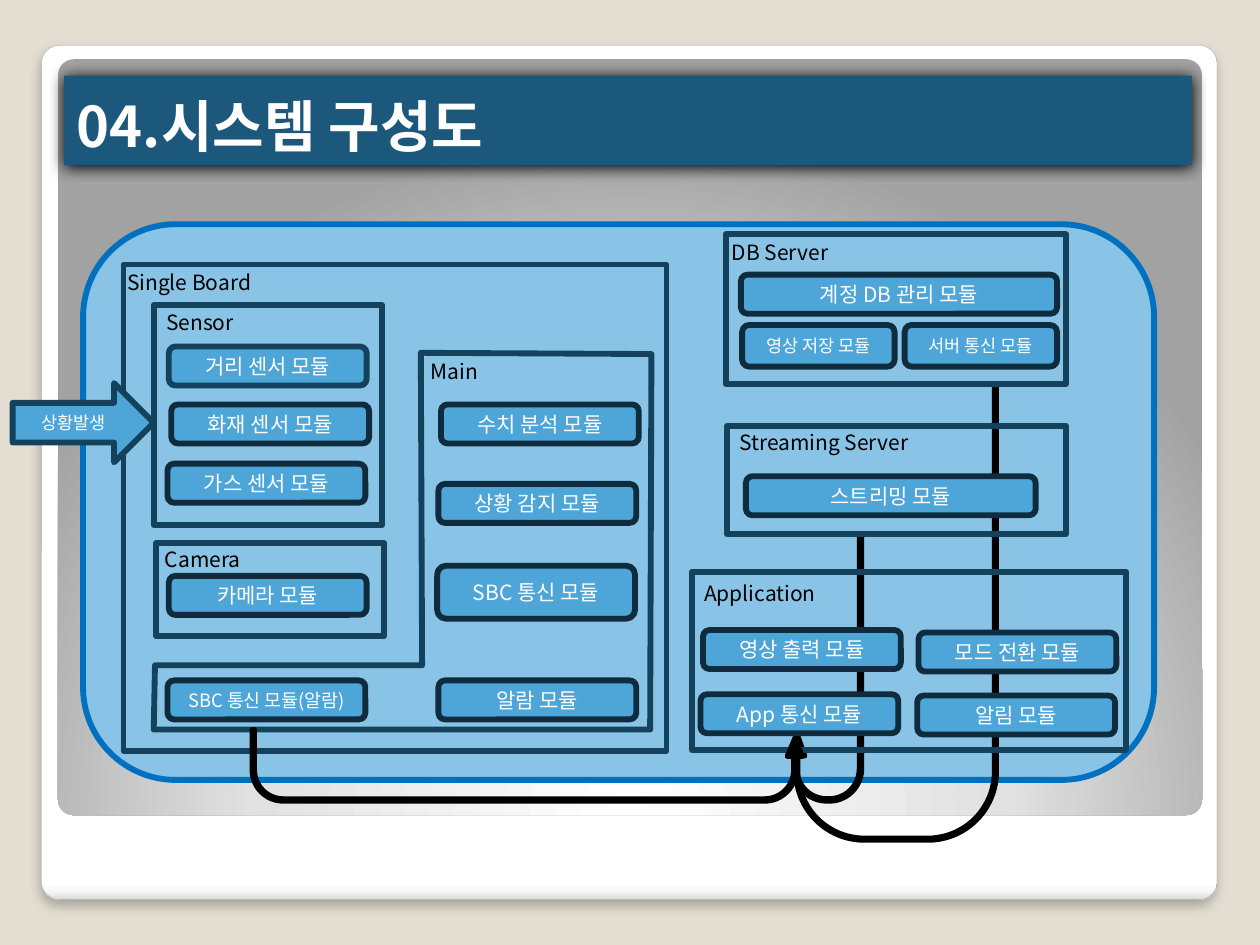
from dataclasses import dataclass

from lxml.etree import SubElement
from pptx import Presentation
from pptx.dml.color import RGBColor
from pptx.enum.shapes import MSO_SHAPE
from pptx.enum.text import MSO_ANCHOR, MSO_AUTO_SIZE, PP_ALIGN
from pptx.oxml import parse_xml
from pptx.oxml.ns import nsdecls, qn
from pptx.util import Inches, Pt


@dataclass(frozen=True)
class Theme:
    font: str = "Noto Sans CJK KR"
    page: str = "E3DED1"
    white: str = "FFFFFF"
    black: str = "000000"
    card_line: str = "A4A4A4"
    title_bar: str = "1B587C"
    system: str = "89C3E5"
    system_line: str = "0070C0"
    module: str = "4EA5D8"
    module_line: str = "0E2C3E"
    frame_line: str = "14425D"
    card_stops: tuple = ((0, "FFFFFF"), (98, "FFFFFF"), (99, "F7F7F7"), (100, "DADADA"))
    panel_stops: tuple = ((0, "FFFFFF"), (55, "E1E1E1"), (100, "A2A2A2"))
    title_size: float = 32
    body_size: float = 12
    note_size: float = 10.5
    small_size: float = 10
    outline: float = 3.35
    flow_outline: float = 2.75


THEME = Theme()
MODULE_W, MODULE_H = 1.57, 0.31


@dataclass(frozen=True)
class Box:
    left: float
    top: float
    width: float
    height: float

    def inside(self, dx, dy, width, height):
        return Box(self.left + dx, self.top + dy, width, height)

    def lengths(self):
        return [Inches(v) for v in (self.left, self.top, self.width, self.height)]


def style(shape, fill=None, line=None, width=THEME.outline):
    shape.shadow.inherit = False
    if fill:
        shape.fill.solid()
        shape.fill.fore_color.rgb = RGBColor.from_string(fill)
    else:
        shape.fill.background()
    if line:
        shape.line.color.rgb = RGBColor.from_string(line)
        shape.line.width = Pt(width)
    else:
        shape.line.fill.background()


def add_shape(slide, kind, box, fill=None, line=None, width=THEME.outline, adjust=()):
    shape = slide.shapes.add_shape(kind, *box.lengths())
    style(shape, fill, line, width)
    for i, value in enumerate(adjust):
        shape.adjustments[i] = value
    return shape


def write(shape, text, size, color, align=PP_ALIGN.LEFT, bold=False):
    paragraph = shape.text_frame.paragraphs[0]
    paragraph.text = text
    paragraph.alignment = align
    for run in paragraph.runs:
        run.font.name = THEME.font
        run.font.size = Pt(size)
        run.font.bold = bold
        run.font.color.rgb = RGBColor.from_string(color)
        SubElement(run.font._element, qn("a:ea")).set("typeface", THEME.font)


def gradient(shape, stops, direction):
    marks = "".join(f'<a:gs pos="{pos * 1000}"><a:srgbClr val="{color}"/></a:gs>'
                    for pos, color in stops)
    properties = shape.element.spPr
    old_fill = properties.find(qn("a:noFill"))
    properties.replace(old_fill, parse_xml(
        f'<a:gradFill {nsdecls("a")} rotWithShape="1"><a:gsLst>{marks}</a:gsLst>{direction}</a:gradFill>'))


def drop_shadow(shape, alpha, blur, distance):
    effects = shape.element.spPr.find(qn("a:effectLst"))
    effects.append(parse_xml(
        f'<a:outerShdw {nsdecls("a")} blurRad="{Pt(blur)}" dist="{Pt(distance)}" dir="5400000" '
        f'algn="t" rotWithShape="0"><a:srgbClr val="{THEME.black}">'
        f'<a:alpha val="{alpha * 1000}"/></a:srgbClr></a:outerShdw>'))


def add_label(slide, box, text):
    label = slide.shapes.add_textbox(*box.lengths())
    label.text_frame.word_wrap = True
    write(label, text, THEME.body_size, THEME.black)


def add_node(slide, kind, box, text, size=THEME.body_size, line=THEME.module_line):
    node = add_shape(slide, kind, box, THEME.module, line)
    frame = node.text_frame
    frame.word_wrap = True
    frame.vertical_anchor = MSO_ANCHOR.MIDDLE
    frame.margin_left = frame.margin_right = frame.margin_top = frame.margin_bottom = 0
    write(node, text, size, THEME.white, PP_ALIGN.CENTER)


def add_module(slide, box, text, size=THEME.body_size, line=THEME.module_line):
    add_node(slide, MSO_SHAPE.ROUNDED_RECTANGLE, box, text, size, line)


def add_flow(slide, box, adjust, mirrored=True):
    flow = add_shape(slide, MSO_SHAPE.U_TURN_ARROW, box, THEME.black, THEME.black,
                     THEME.flow_outline, adjust)
    transform = flow.element.spPr.find(qn("a:xfrm"))
    transform.set("flipV", "1")
    if mirrored:
        transform.set("flipH", "1")


def add_backdrop(slide, box):
    rounding = [0.021]
    card = add_shape(slide, MSO_SHAPE.ROUNDED_RECTANGLE, box, None, THEME.card_line, 0.16, rounding)
    gradient(card, THEME.card_stops, '<a:lin ang="5400000" scaled="0"/>')
    drop_shadow(card, 25, 6, 4)
    panel = add_shape(slide, MSO_SHAPE.ROUNDED_RECTANGLE, box.inside(0.13, 0.11, 9.08, 6), adjust=rounding)
    gradient(panel, THEME.panel_stops, '<a:path path="circle"><a:fillToRect '
             'l="50000" t="175000" r="50000" b="-75000"/></a:path>')


def add_title(slide, box, text):
    title = slide.shapes.title
    title.element.getparent().append(title.element)  # in front of the backdrop
    title.left, title.top, title.width, title.height = box.lengths()
    style(title, THEME.title_bar)
    drop_shadow(title, 100, 8.5, 1)
    title.text_frame.auto_size = MSO_AUTO_SIZE.NONE
    title.text_frame.vertical_anchor = MSO_ANCHOR.BOTTOM
    write(title, text, THEME.title_size, THEME.white, bold=True)


def add_subsystem(slide, box, name, name_at, modules):
    """Framed group; each module is (text, dx, dy, width, height, *style)."""
    add_shape(slide, MSO_SHAPE.RECTANGLE, box, line=THEME.frame_line)
    add_label(slide, box.inside(*name_at, 1.75, 0.3), name)
    for text, dx, dy, width, height, *look in modules:
        add_module(slide, box.inside(dx, dy, width, height), text, *look)


def add_main(slide, box):
    outline = [(2.12, 0), (3.95, 0.01), (3.94, 2.99), (0, 2.99), (0.01, 2.48), (2.13, 2.48)]
    points = [(Inches(box.left + x), Inches(box.top + y)) for x, y in outline]
    builder = slide.shapes.build_freeform(*points[0])
    builder.add_line_segments(points[1:], close=True)
    style(builder.convert_to_shape(), line=THEME.frame_line)
    add_label(slide, box.inside(2.1, 0, 1.42, 0.3), "Main")
    for text, dx, dy, height, size in (
            ("수치 분석 모듈", 2.28, 0.41, MODULE_H, THEME.body_size),
            ("상황 감지 모듈", 2.26, 1.04, MODULE_H, THEME.body_size),
            ("SBC 통신 모듈", 2.25, 1.69, 0.42, THEME.body_size),
            ("알람 모듈", 2.26, 2.6, MODULE_H, THEME.body_size),
            ("SBC 통신 모듈(알람)", 0.11, 2.6, MODULE_H, THEME.note_size)):
        add_module(slide, box.inside(dx, dy, MODULE_W, height), text, size)


def add_single_board(slide, box):
    add_subsystem(slide, box, "Single Board", (-0.07, -0.01), [])
    add_node(slide, MSO_SHAPE.RIGHT_ARROW, box.inside(-0.88, 0.94, 1.12, 0.63), "상황발생",
             THEME.small_size, THEME.frame_line)
    add_subsystem(slide, box.inside(0.24, 0.32, 1.81, 1.75), "Sensor", (0, -0.01), [
        ("거리 센서 모듈", 0.12, 0.33, MODULE_W, MODULE_H, THEME.body_size, THEME.frame_line),
        ("화재 센서 모듈", 0.14, 0.79, MODULE_W, MODULE_H),
        ("가스 센서 모듈", 0.11, 1.26, MODULE_W, MODULE_H)])
    add_subsystem(slide, box.inside(0.26, 2.21, 1.81, 0.74), "Camera", (-0.03, -0.02), [
        ("카메라 모듈", 0.1, 0.26, MODULE_W, MODULE_H)])
    add_main(slide, box.inside(0.24, 0.7, 3.95, 2.99))


def add_system(slide, box):
    add_shape(slide, MSO_SHAPE.ROUNDED_RECTANGLE, box, THEME.system, THEME.system_line)
    # Flows from the servers run behind the modules
    add_flow(slide, box.inside(5.6, 1.29, 1.65, 3.6), (0.011, 0.039, 0.111, 0.331, 0.237))
    add_flow(slide, box.inside(5.59, 2.48, 0.59, 2.1), (0.036, 0.107, 0.25, 0.438, 0.242))
    add_single_board(slide, box.inside(0.32, 0.32, 4.31, 3.86))
    add_subsystem(slide, box.inside(5.11, 1.6, 2.69, 0.86), "Streaming Server", (0, -0.02), [
        ("스트리밍 모듈", 0.15, 0.4, 2.3, MODULE_H)])
    add_subsystem(slide, box.inside(4.83, 2.76, 3.45, 1.41), "Application", (0, 0.02), [
        ("영상 출력 모듈", 0.09, 0.46, MODULE_W, MODULE_H),
        ("모드 전환 모듈", 1.8, 0.48, MODULE_W, MODULE_H),
        ("App 통신 모듈", 0.07, 0.97, MODULE_W, MODULE_H),
        ("알림 모듈", 1.79, 0.98, MODULE_W, MODULE_H)])
    add_subsystem(slide, box.inside(5.1, 0.08, 2.7, 1.19), "DB Server", (-0.05, -0.01), [
        ("계정 DB 관리 모듈", 0.12, 0.32, 2.51, MODULE_H),
        ("영상 저장 모듈", 0.13, 0.72, 1.21, 0.33, THEME.small_size),
        ("서버 통신 모듈", 1.42, 0.72, 1.21, 0.33, THEME.small_size)])
    # Alarm flow from the board to the app
    add_flow(slide, box.inside(1.34, 4.01, 4.37, 0.57), (0.036, 0.107, 0.25, 0.438, 0.875), mirrored=False)


def main():
    deck = Presentation()
    deck.slide_width, deck.slide_height = Inches(10), Inches(7.5)
    slide = deck.slides.add_slide(deck.slide_layouts[5])
    slide.background.fill.solid()
    slide.background.fill.fore_color.rgb = RGBColor.from_string(THEME.page)
    add_backdrop(slide, Box(0.33, 0.36, 9.33, 6.78))
    add_title(slide, Box(0.51, 0.6, 8.95, 0.71), "04.시스템 구성도")
    add_system(slide, Box(0.66, 1.78, 8.5, 4.41))
    deck.save("out.pptx")


if __name__ == "__main__":
    main()
